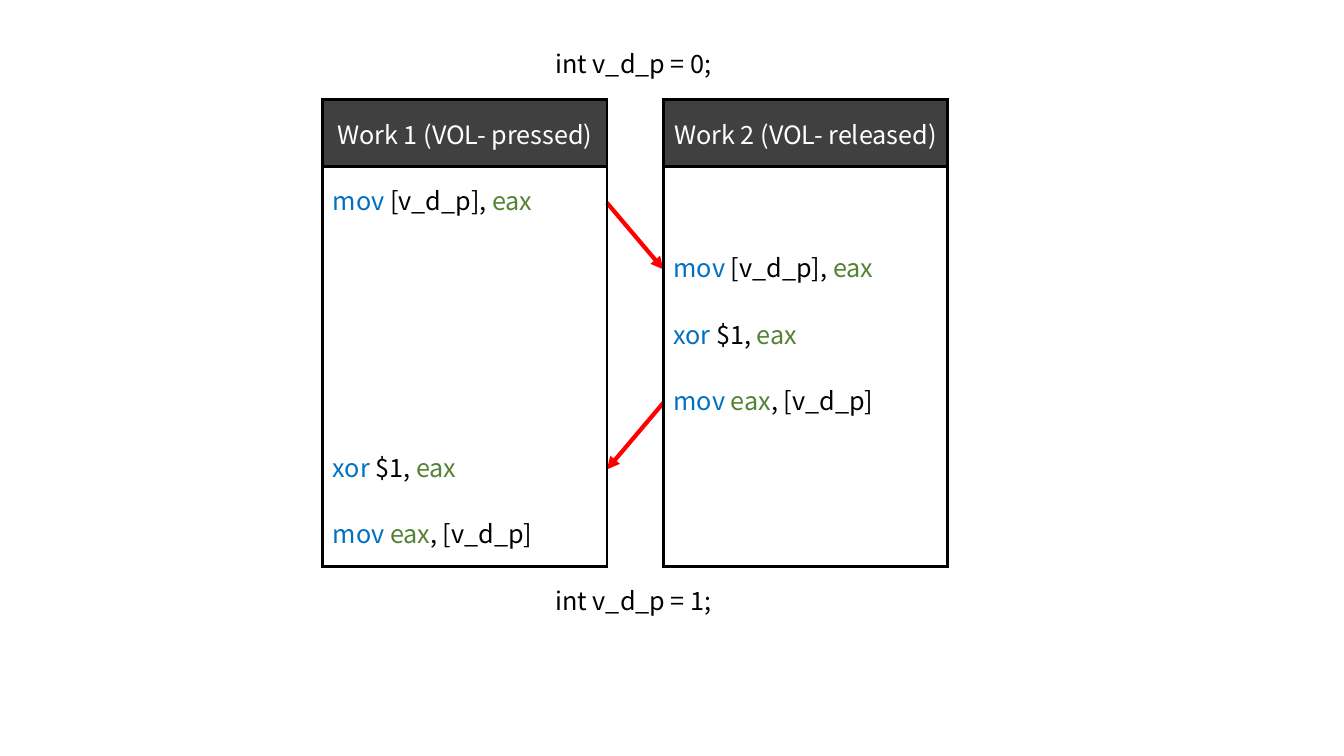
from dataclasses import dataclass

from lxml import etree
from pptx import Presentation
from pptx import util as u
from pptx.dml.color import RGBColor
from pptx.enum import shapes, text
from pptx.oxml import ns


@dataclass(frozen=True)
class Theme:
    font: str = "Noto Sans CJK KR"
    size: float = 18
    border_width: float = 2.25
    arrow_width: float = 3
    black: str = "000000"
    white: str = "FFFFFF"
    header: str = "404040"
    mnemonic: str = "0070C0"
    register: str = "548235"
    arrow: str = "FF0000"


@dataclass(frozen=True)
class Worker:
    left: float
    title: str
    steps: dict[int, str]


@dataclass(frozen=True)
class Switch:
    """A context switch from one worker's row to the other's."""
    x1: float
    row1: int
    x2: float
    row2: int


@dataclass(frozen=True)
class Label:
    top: float
    wording: str


THEME = Theme()
TOP, WIDTH, ROW_H, ROWS = 0.99, 2.82, 0.66125, 8
LAST_BOXED_ROW = ROWS - 2
LEFT_1, LEFT_2 = 3.2, 6.58
EDGE_1 = LEFT_1 + WIDTH
ARROW_DROP = 0.03
LOAD, FLIP, STORE = "mov [v_d_p], eax", "xor $1, eax", "mov eax, [v_d_p]"

WORKERS = [
    Worker(LEFT_1, "Work 1 (VOL- pressed)", {1: LOAD, 5: FLIP, 6: STORE}),
    Worker(LEFT_2, "Work 2 (VOL- released)", {2: LOAD, 3: FLIP, 4: STORE}),
]
SWITCHES = [Switch(EDGE_1, 1, LEFT_2, 2), Switch(LEFT_2, 4, EDGE_1, 5)]
LABELS = [Label(0.43, "int v_d_p = 0;"), Label(5.76, "int v_d_p = 1;")]


def add_run(p, wording: str, color: str) -> None:
    r = p.add_run()
    r.text = wording
    formats = {"name": THEME.font, "size": u.Pt(THEME.size)}
    for name, value in formats.items():
        setattr(r.font, name, value)
    r.font.color.rgb = RGBColor.from_string(color)


def add_instruction(p, wording: str) -> None:
    """Write one assembly line with its mnemonic and register coloured."""
    mnemonic, operands = wording.split(" ", 1)
    before, register, after = f" {operands}".partition("eax")
    parts = [(mnemonic, THEME.mnemonic), (before, THEME.black),
             (register, THEME.register), (after, THEME.black)]
    for part, color in parts:
        if part:
            add_run(p, part, color)


def set_borders(cell, sides: str) -> None:
    """Draw the sides named by the letters L, R, T and B; clear the others."""
    tc_pr = cell._tc.get_or_add_tcPr()
    for side in "LRTB":
        ln = etree.SubElement(tc_pr, ns.qn(f"a:ln{side}"))
        if side in sides:
            ln.set("w", str(u.Pt(THEME.border_width)))
            fill = etree.SubElement(ln, ns.qn("a:solidFill"))
            etree.SubElement(fill, ns.qn("a:srgbClr"), val=THEME.black)
        else:
            etree.SubElement(ln, ns.qn("a:noFill"))


def border_sides(row: int) -> str:
    if row > LAST_BOXED_ROW:
        return "T"
    return "LR" + ("T" if row <= 1 else "") + ("B" if row in (0, LAST_BOXED_ROW) else "")


def add_worker(s, worker: Worker) -> None:
    table = s.shapes.add_table(
        ROWS, 1, u.Inches(worker.left), u.Inches(TOP),
        u.Inches(WIDTH), u.Inches(ROW_H * ROWS)).table
    for name in ("first_row", "horz_banding"):
        setattr(table, name, False)
    for row in range(ROWS):
        cell = table.cell(row, 0)
        cell.vertical_anchor = text.MSO_ANCHOR.MIDDLE
        set_borders(cell, border_sides(row))
        p = cell.text_frame.paragraphs[0]
        p.font.size = u.Pt(THEME.size)
        if row == 0:
            cell.fill.solid()
            cell.fill.fore_color.rgb = RGBColor.from_string(THEME.header)
            p.alignment = text.PP_ALIGN.CENTER
            add_run(p, worker.title, THEME.white)
        else:
            cell.fill.background()
            if row in worker.steps:
                add_instruction(p, worker.steps[row])


def row_middle(row: int) -> float:
    return TOP + (row + 0.5) * ROW_H + ARROW_DROP


def add_switch(s, switch: Switch) -> None:
    cxn = s.shapes.add_connector(
        shapes.MSO_CONNECTOR.STRAIGHT,
        u.Inches(switch.x1), u.Inches(row_middle(switch.row1)),
        u.Inches(switch.x2), u.Inches(row_middle(switch.row2)))
    cxn.line.color.rgb = RGBColor.from_string(THEME.arrow)
    cxn.line.width = u.Pt(THEME.arrow_width)
    etree.SubElement(cxn.line._get_or_add_ln(), ns.qn("a:tailEnd"), type="triangle")
    etree.SubElement(cxn._element.spPr, ns.qn("a:effectLst"))


def add_label(s, label: Label) -> None:
    sp = s.shapes.add_textbox(
        u.Inches(5.41), u.Inches(label.top), u.Inches(1.78), u.Inches(0.4))
    tf = sp.text_frame
    formats = {"word_wrap": False, "auto_size": text.MSO_AUTO_SIZE.SHAPE_TO_FIT_TEXT}
    for name, value in formats.items():
        setattr(tf, name, value)
    add_run(tf.paragraphs[0], label.wording, THEME.black)


def main() -> None:
    prs = Presentation()
    prs.slide_width, prs.slide_height = u.Inches(13.33), u.Inches(7.5)
    s = prs.slides.add_slide(prs.slide_layouts[6])
    for switch in SWITCHES:
        add_switch(s, switch)
    for worker in WORKERS:
        add_worker(s, worker)
    for label in LABELS:
        add_label(s, label)
    prs.save("out.pptx")


if __name__ == "__main__":
    main()
